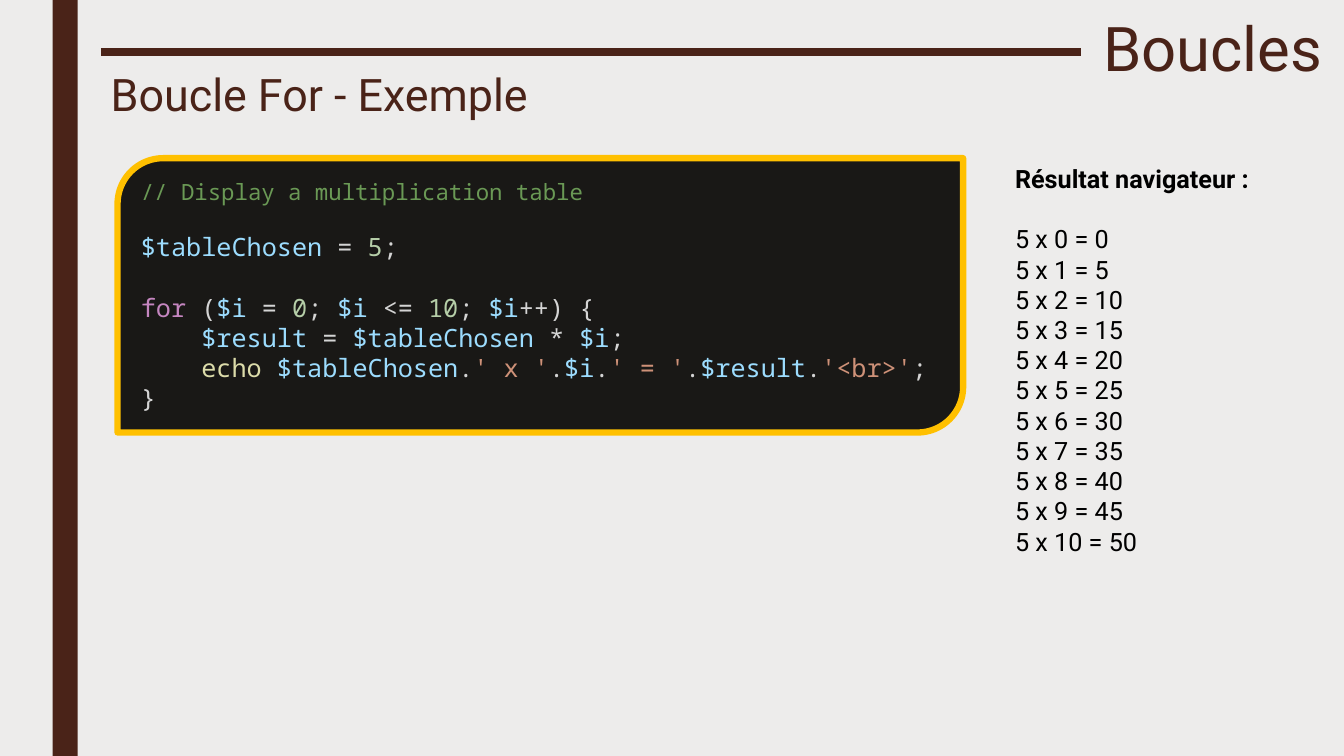
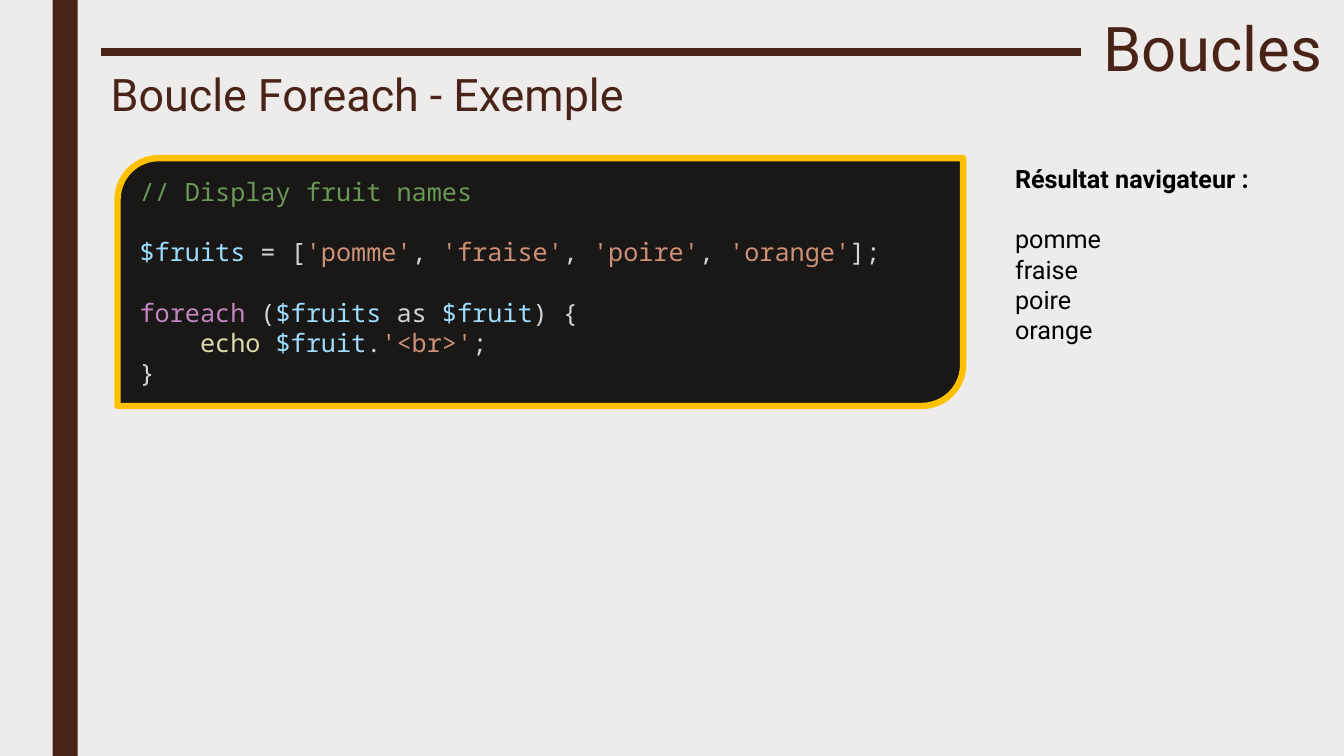
import pptx
import pptx.dml.color
import pptx.enum.shapes
import pptx.enum.text
import pptx.oxml.ns
import pptx.util
from lxml import etree

Pt = pptx.util.Pt
SHAPE = pptx.enum.shapes.MSO_SHAPE
ALIGN = pptx.enum.text.PP_ALIGN
ANCHOR = pptx.enum.text.MSO_ANCHOR

BACK, BROWN, GOLD, DARK, BLACK = "EDECEB", "4A2318", "FFC000", "191816", "000000"
SANS, MONO = "Roboto", "Noto Sans Mono"
SIZE, LEAD = 18, 1.2          # body text size, line pitch as a share of it
TAB = 4 * 0.6 * SIZE          # four characters of the code font

PLAIN = "D4D4D4"
WORDS = {"for": "C586C0", "foreach": "C586C0", "echo ": "DCDCAA"}
STARTS = {"//": "6A9955", "$": "9CDCFE", "'": "CE9178"}
NUMBER = "B5CEA8"

# Code line: size, gap above, indent steps, tokens
SLIDES = [
    {
        "topic": "Boucle For - Exemple",
        "height": 196,
        "code": [
            (16, 0, 0, ["// Display a multiplication table"]),
            (SIZE, 16, 0, ["$tableChosen", " = ", "5", ";"]),
            (SIZE, SIZE, 0, ["for", " (", "$i", " = ", "0", "; ", "$i", " <= ",
                             "10", "; ", "$i", "++) {"]),
            (SIZE, 0, 1, ["$result", " = ", "$tableChosen", " * ", "$i", ";"]),
            (SIZE, 0, 1, ["echo ", "$tableChosen", ".", "' x '", ".", "$i", ".",
                          "' = '", ".", "$result", ".", "'<br>'", ";"]),
            (SIZE, 0, 0, ["}"]),
        ],
        "output": [f"5 x {n} = {5 * n}" for n in range(11)],
    },
    {
        "topic": "Boucle Foreach - Exemple",
        "height": 177,
        "code": [
            (SIZE, 0, 0, ["// Display fruit names"]),
            (SIZE, SIZE, 0, ["$fruits", " = [", "'pomme'", ", ", "'fraise'", ", ",
                             "'poire'", ", ", "'orange'", "];"]),
            (SIZE, SIZE, 0, ["foreach", " (", "$fruits", " as ", "$fruit", ") {"]),
            (SIZE, 0, 1, ["echo ", "$fruit", ".", "'<br>'", ";"]),
            (SIZE, 0, 0, ["}"]),
        ],
        "output": ["pomme", "fraise", "poire", "orange"],
    },
]


def rgb(code):
    return pptx.dml.color.RGBColor.from_string(code)


def paint(fill, code):
    fill.solid()
    fill.fore_color.rgb = rgb(code)


def tint(token):
    """Return the syntax colour of a code token."""
    if token in WORDS:
        return WORDS[token]
    if token.isdigit():
        return NUMBER
    return next((c for s, c in STARTS.items() if token.startswith(s)), PLAIN)


def write(para, text, size, color, face, bold=False):
    run = para.add_run()
    run.text = text
    font = run.font
    font.size, font.name, font.bold = Pt(size), face, bold
    font.color.rgb = rgb(color)


def add_block(slide, kind, x, y, w, h, fill):
    block = slide.shapes.add_shape(kind, Pt(x), Pt(y), Pt(w), Pt(h))
    block.shadow.inherit = False
    paint(block.fill, fill)
    block.line.fill.background()
    return block


def add_box(slide, x, y, w, h):
    box = slide.shapes.add_textbox(Pt(x), Pt(y), Pt(w), Pt(h))
    box.text_frame.word_wrap = True
    return box


def add_head(box, text, size, align, pitch):
    """Fill a box with one vertically centred heading line."""
    frame = box.text_frame
    frame.word_wrap = True
    frame.vertical_anchor = ANCHOR.MIDDLE
    para = frame.paragraphs[0]
    para.alignment, para.line_spacing = align, pitch
    write(para, text, size, BROWN, SANS)


def add_lines(frame, rows):
    """Yield one paragraph for each (size, gap, row), with its pitch set."""
    for i, (size, gap, row) in enumerate(rows):
        para = frame.add_paragraph() if i else frame.paragraphs[0]
        para.alignment = ALIGN.LEFT
        para.line_spacing = Pt(size * LEAD)
        para.space_before = Pt(gap * LEAD)
        yield para, size, row


def add_frame(slide, topic):
    paint(slide.background.fill, BACK)
    add_block(slide, SHAPE.RECTANGLE, 37.5, 0, 18, 540, BROWN)
    title = slide.shapes.title
    title.left, title.top, title.width, title.height = map(Pt, (772.5, 8.6, 179.3, 57))
    add_head(title, "Boucles", 44, ALIGN.RIGHT, 0.89)
    rule = slide.shapes.add_connector(
        pptx.enum.shapes.MSO_CONNECTOR.STRAIGHT, Pt(72), Pt(37), Pt(772.5), Pt(37))
    rule.line.color.rgb = rgb(BROWN)
    rule.line.width = Pt(6)
    props = rule.element.find(pptx.oxml.ns.qn("p:spPr"))
    etree.SubElement(props, pptx.oxml.ns.qn("a:effectLst"))
    add_head(add_box(slide, 72, 50.4, 568, 41), topic, 32, ALIGN.LEFT, 0.79)


def add_code(slide, height, code):
    panel = add_block(slide, SHAPE.ROUND_2_DIAG_RECTANGLE, 84, 113, 604, height, DARK)
    paint(panel.line.fill, GOLD)
    panel.line.width = Pt(4.5)
    panel.text_frame.vertical_anchor = ANCHOR.MIDDLE
    rows = [(size, gap, (step, tokens)) for size, gap, step, tokens in code]
    for para, size, (step, tokens) in add_lines(panel.text_frame, rows):
        if step:
            para._p.get_or_add_pPr().set("marL", str(Pt(step * TAB)))
        for token in tokens:
            write(para, token, size, tint(token), MONO)


def add_output(slide, output):
    lines = ["Résultat navigateur :"] + output
    height = (len(lines) + 1) * SIZE * LEAD + 8
    box = add_box(slide, 718, 113, 205, height)
    rows = [(SIZE, SIZE if i == 1 else 0, (line, i == 0)) for i, line in enumerate(lines)]
    for para, size, (line, bold) in add_lines(box.text_frame, rows):
        write(para, line, size, BLACK, SANS, bold)


def main():
    deck = pptx.Presentation()
    deck.slide_width, deck.slide_height = Pt(960), Pt(540)
    for page in SLIDES:
        slide = deck.slides.add_slide(deck.slide_layouts[5])
        add_frame(slide, page["topic"])
        add_code(slide, page["height"], page["code"])
        add_output(slide, page["output"])
    deck.save("out.pptx")


if __name__ == "__main__":
    main()
